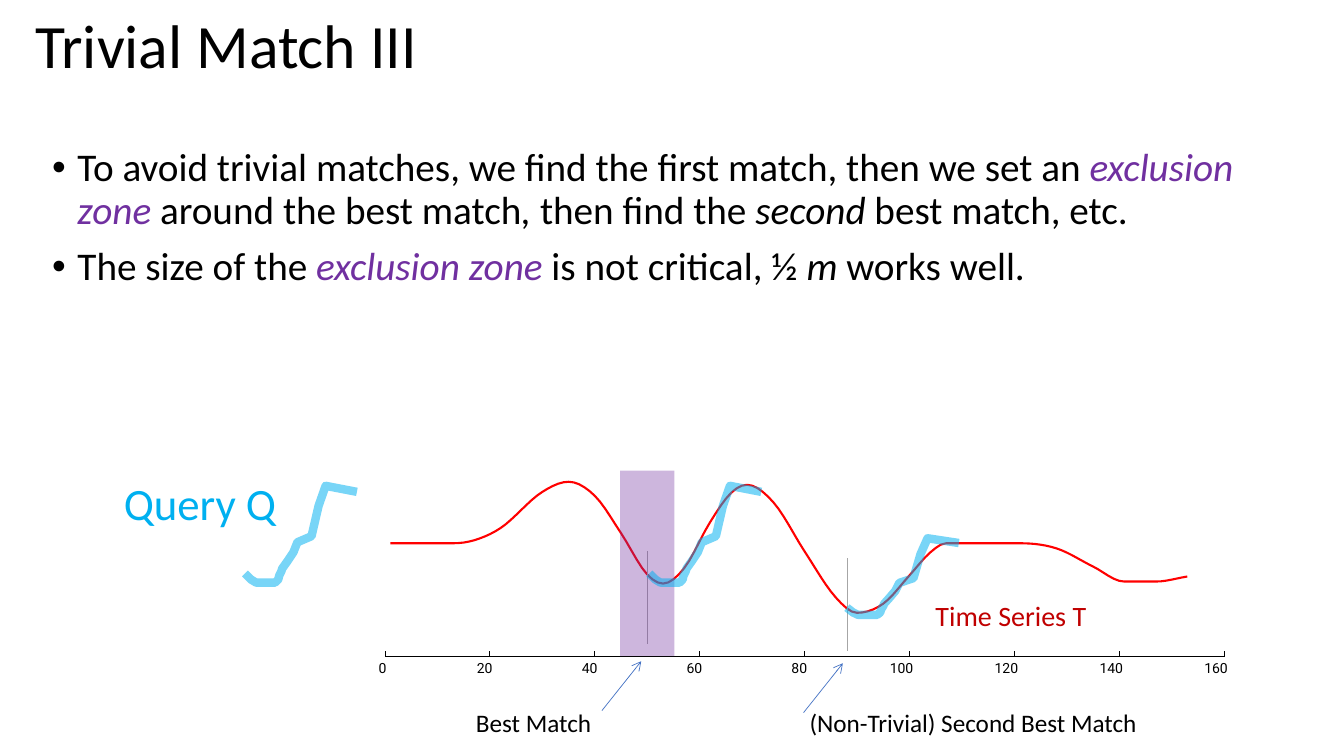
from lxml import etree
from pptx import Presentation
from pptx.dml.color import RGBColor
from pptx.enum import shapes, text
from pptx.oxml.ns import qn
from pptx.util import Inches, Pt

THEME = {
    "ink": "000000", "zone": "7030A0", "query": "00B0F0", "curve": "FF0000",
    "series": "C00000", "mark": "A6A6A6", "arrow": "4472C4",
    "font": "Calibri", "digits": "Roboto",
    "title": 44, "body": 28, "large": 32, "medium": 20, "note": 18, "tick": 10,
}
TITLE = "Trivial Match III"
BODY = [
    [("To avoid trivial matches, we find the first match, then we set an ", "ink", False),
     ("exclusion zone ", "zone", True),
     ("around the best match", "ink", False),
     (", ", "ink", True),
     ("then find the ", "ink", False),
     ("second", "ink", True),
     (" best match, etc.", "ink", False)],
    [("The size of the ", "ink", False),
     ("exclusion zone ", "zone", True),
     ("is not critical, ½ ", "ink", False),
     ("m", "ink", True),
     (" works well.", "ink", False)],
]
LABELS = [
    ("Query Q", (1.13, 4.67, 1.73, 0.64), "large", "query"),
    ("Time Series T", (9.18, 5.89, 3.15, 0.44), "medium", "series"),
]
NOTES = [
    ("Best Match", (4.72, 7.05, 1.21, 0.27)),
    ("(Non-Trivial) Second Best Match", (8.03, 7.05, 3.4, 0.27)),
]
MARKS = [(6.42, 5.47), (8.4, 5.54)]
ARROWS = [(5.97, 7.05), (7.97, 7.07)]
ZONE = (6.15, 4.67, 0.54, 1.84)
WAVE = {
    "flat start": [(1, 5.39), (13, 5.39)],
    "first rise": [(17, 5.36), (22, 5.24), (30, 4.88)],
    "first peak": [(35, 4.78)],
    "first fall": [(40, 4.92), (45, 5.29), (50, 5.7)],
    "first trough": [(53, 5.79)],
    "second rise": [(57, 5.64), (62, 5.18), (66, 4.89)],
    "second peak": [(69, 4.81)],
    "second fall": [(74, 4.98), (80, 5.47), (86, 5.93)],
    "second trough": [(90, 6.08)],
    "last rise": [(95, 5.99), (100, 5.71), (104, 5.48)],
    "plateau": [(107, 5.39), (121, 5.39)],
    "last fall": [(128, 5.44), (135, 5.62)],
    "flat end": [(141, 5.77), (147, 5.77), (153, 5.72)],
}
QUERY = [
    (0, 0.87), (0.06, 0.93), (0.11, 0.96), (0.3, 0.96), (0.33, 0.93), (0.34, 0.89),
    (0.36, 0.85), (0.37, 0.82), (0.42, 0.75), (0.48, 0.66), (0.52, 0.56),
    (0.66, 0.5), (0.73, 0.2), (0.8, 0), (1.11, 0.06),
]
TALL = 0.96
QUERIES = [(6.44, 4.82, TALL), (8.4, 5.34, 0.76), (2.43, 4.82, TALL)]
START, END, BASE, TICK = 3.82, 12.14, 6.51, 0.05
LAST, STEP = 160, 20
UNIT = (END - START) / LAST


def tint(name):
    return RGBColor.from_string(THEME[name])


def fade(part, share):
    mark = etree.SubElement(part.find(".//" + qn("a:srgbClr")), qn("a:alpha"))
    mark.set("val", str(share * 1000))


def style(part, values):
    for name, value in values.items():
        setattr(part, name, value)


def write(para, words, size, color="ink", font="font", italic=None):
    run = para.add_run()
    run.text = words
    style(run.font, {"name": THEME[font], "size": Pt(THEME[size]), "italic": italic})
    run.font.color.rgb = tint(color)


def label(slide, words, box, size, color="ink", font="font", inset=0.0, spacing=1.0):
    frame = slide.shapes.add_textbox(*map(Inches, box)).text_frame
    style(frame, {
        "word_wrap": False, "auto_size": text.MSO_AUTO_SIZE.SHAPE_TO_FIT_TEXT,
        "margin_left": Inches(inset), "margin_right": Inches(inset),
        "margin_top": Inches(inset / 2), "margin_bottom": Inches(inset / 2),
    })
    para = frame.paragraphs[0]
    para.line_spacing = spacing
    write(para, words, size, color, font)


def rule(slide, ends, color="ink", width=0.0, head=False):
    line = slide.shapes.add_connector(
        shapes.MSO_CONNECTOR.STRAIGHT, *map(Inches, ends))
    line.line.color.rgb = tint(color)
    stroke = line._element.spPr.find(qn("a:ln"))
    stroke.set("w", str(Pt(width)))
    if head:
        etree.SubElement(stroke, qn("a:tailEnd"), type="arrow")
    etree.SubElement(line._element.spPr, qn("a:effectLst"))


def trace(slide, points, color, width, share=100):
    spots = [(Inches(x), Inches(y)) for x, y in points]
    pen = slide.shapes.build_freeform(*spots[0])
    pen.add_line_segments(spots[1:], close=False)
    shape = pen.convert_to_shape()
    shape.shadow.inherit = False
    shape.fill.background()
    shape.line.color.rgb = tint(color)
    shape.line.width = Pt(width)
    if share < 100:
        fade(shape._element.spPr.find(qn("a:ln")), share)


def smooth(knots):
    pairs = list(zip(knots, knots[1:]))
    grades = [(y2 - y1) / (t2 - t1) for (t1, y1), (t2, y2) in pairs]
    inner = [(a + b) / 2 if a * b > 0 else 0 for a, b in zip(grades, grades[1:])]
    slopes = [grades[0], *inner, grades[-1]]
    for ((t1, y1), (t2, y2)), m1, m2 in zip(pairs, slopes, slopes[1:]):
        span = t2 - t1
        for time in range(t1, t2):
            s = (time - t1) / span
            blend = s * s * (3 - 2 * s)
            bend = s * (1 - s) * span * (m1 * (1 - s) - m2 * s)
            yield time, y1 + (y2 - y1) * blend + bend
    yield knots[-1]


def heading(slide):
    title = slide.shapes.title
    style(title, dict(zip(("left", "top", "width", "height"),
                          map(Inches, (0.25, 0, 12.17, 0.97)))))
    style(title.text_frame, {
        "vertical_anchor": text.MSO_ANCHOR.MIDDLE,
        "auto_size": text.MSO_AUTO_SIZE.NONE, "word_wrap": True,
    })
    para = title.text_frame.paragraphs[0]
    style(para, {"alignment": text.PP_ALIGN.LEFT, "line_spacing": 0.9})
    write(para, TITLE, "title")


def bullets(slide):
    frame = slide.shapes.add_textbox(*map(Inches, (0.42, 1.42, 12.17, 4.83))).text_frame
    frame.word_wrap = True
    for i, runs in enumerate(BODY):
        para = frame.add_paragraph() if i else frame.paragraphs[0]
        props = para._p.get_or_add_pPr()
        props.set("marL", str(Inches(0.25)))
        props.set("indent", str(-Inches(0.25)))
        etree.SubElement(props, qn("a:buFont"), typeface="Arial")
        etree.SubElement(props, qn("a:buChar"), char="•")
        style(para, {"line_spacing": 0.9, "space_before": Pt(10 if i else 0)})
        for words, color, italic in runs:
            write(para, words, "body", color, italic=italic)


def axis(slide):
    for value in range(0, LAST + 1, STEP):
        x = START + value * UNIT
        digits = len(str(value))
        rule(slide, (x, BASE, x, BASE - TICK))
        box = (x - 0.065 * digits, 6.54, 0.14 * digits, 0.17)
        label(slide, str(value), box, "tick", font="digits")
    rule(slide, (START, BASE, END, BASE))


def series(slide):
    knots = sum(WAVE.values(), [])
    trace(slide, [(START + t * UNIT, y) for t, y in smooth(knots)], "curve", 1.5)


def matches(slide):
    band = slide.shapes.add_shape(shapes.MSO_SHAPE.RECTANGLE, *map(Inches, ZONE))
    band.shadow.inherit = False
    band.fill.solid()
    band.fill.fore_color.rgb = tint("zone")
    fade(band._element.spPr, 35)
    band.line.fill.background()
    for left, top, height in QUERIES:
        points = [(left + x, top + y * height / TALL) for x, y in QUERY]
        trace(slide, points, "query", 6, 52)


def main():
    deck = Presentation()
    deck.slide_width, deck.slide_height = Inches(13.33), Inches(7.5)
    slide = deck.slides.add_slide(deck.slide_layouts[5])
    heading(slide)
    bullets(slide)
    axis(slide)
    series(slide)
    for words, box, size, color in LABELS:
        label(slide, words, box, size, color, inset=0.1)
    for x, y in MARKS:
        rule(slide, (x, y, x, y + 0.92), "mark", 0.5)
    for x, y in ARROWS:
        rule(slide, (x, y, x + 0.39, y - 0.49), "arrow", 0.5, True)
    for words, box in NOTES:
        label(slide, words, box, "note", spacing=0.9)
    matches(slide)
    deck.save("out.pptx")


if __name__ == "__main__":
    main()
